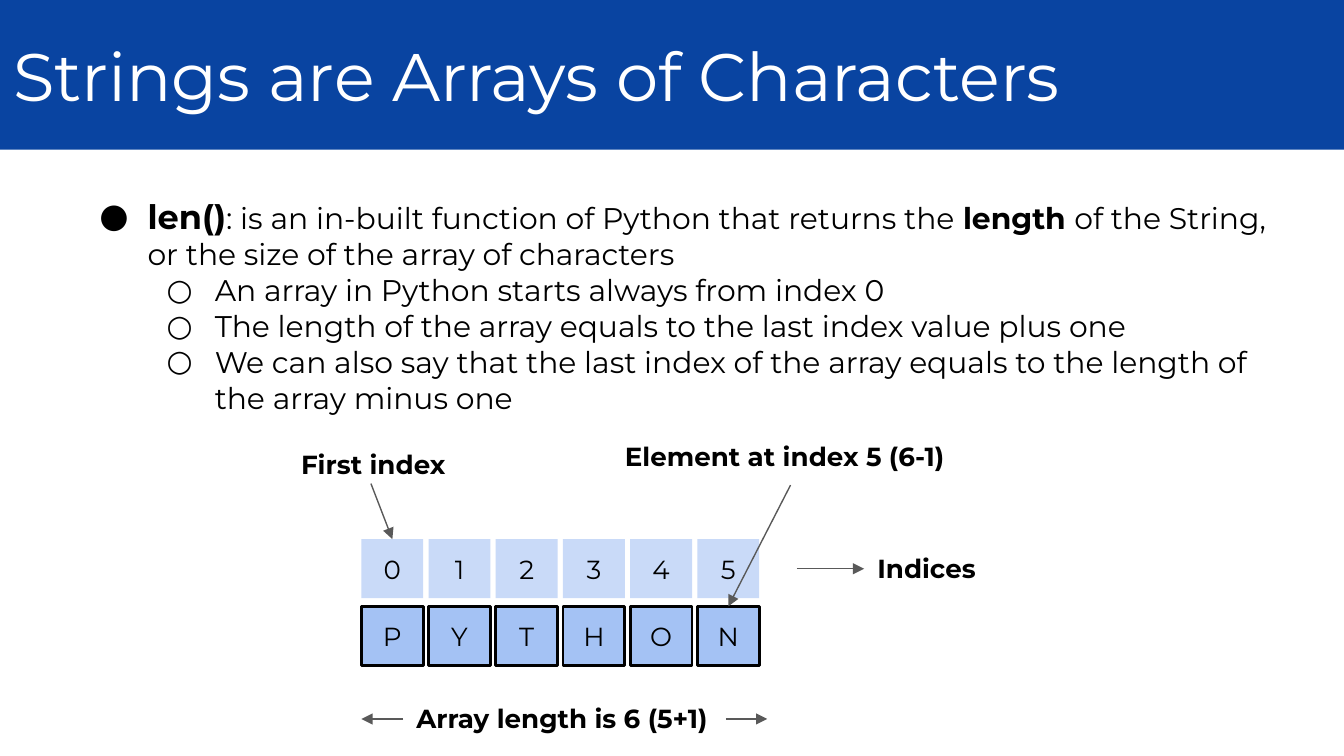
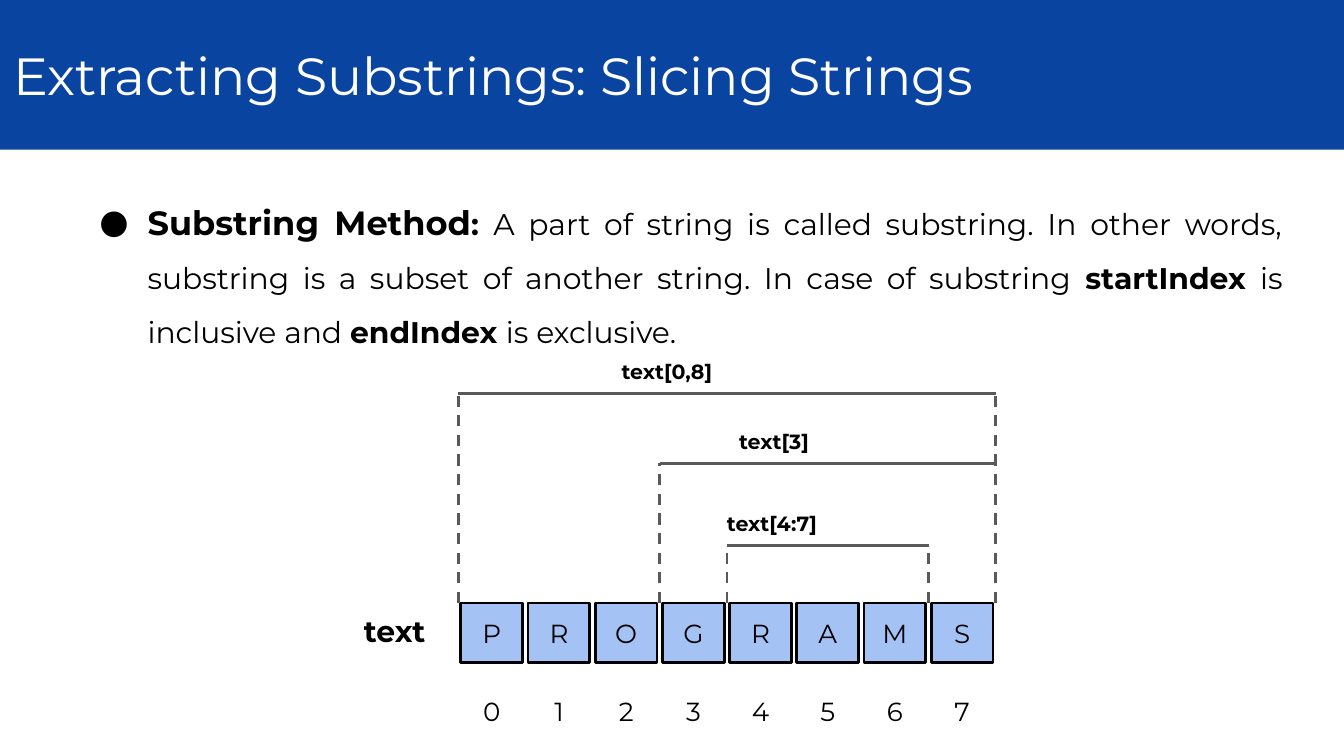
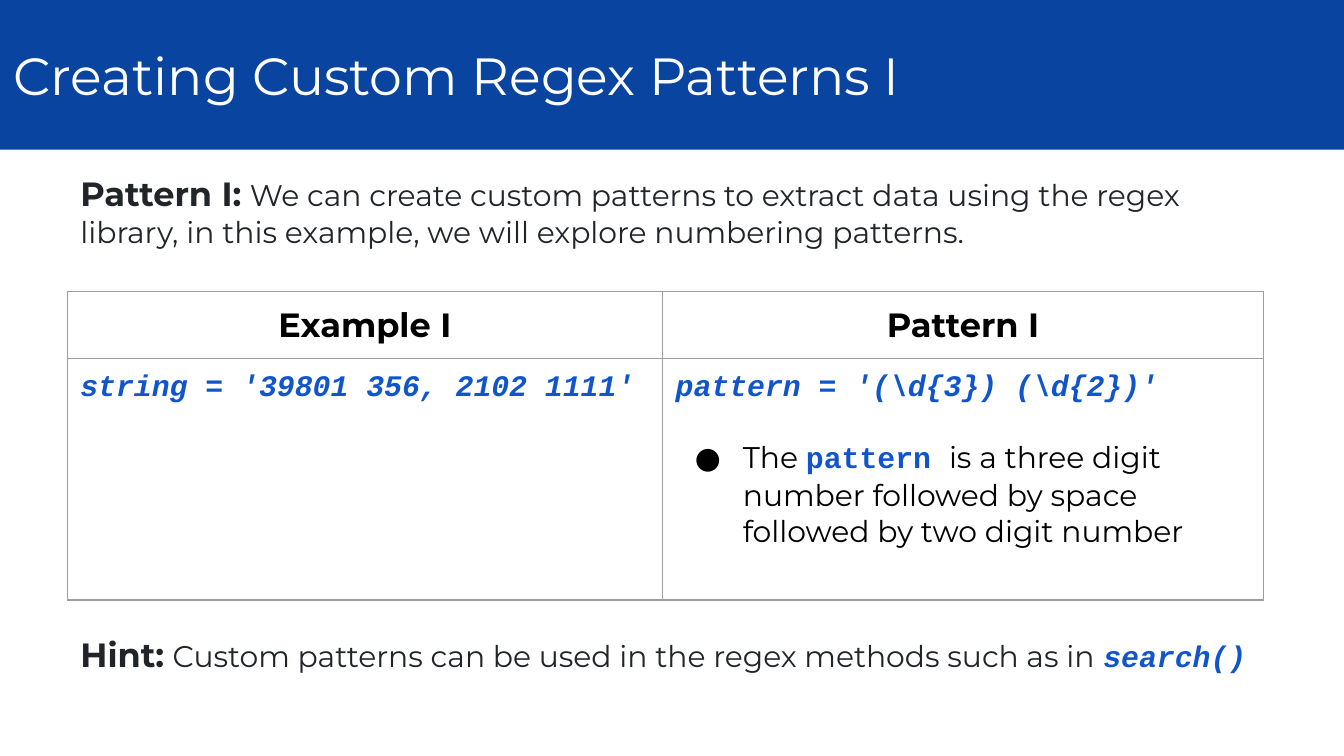
from collections import namedtuple

from lxml.etree import SubElement
from pptx import Presentation
from pptx.dml.color import RGBColor
from pptx.enum.dml import MSO_LINE
from pptx.enum.shapes import MSO_CONNECTOR, MSO_SHAPE
from pptx.enum.text import MSO_ANCHOR, PP_ALIGN
from pptx.oxml.ns import qn
from pptx.util import Cm, Pt

COLOURS = {
    "band": "0944A1", "white": "FFFFFF", "black": "000000", "ink": "212529",
    "letter": "A4C2F4", "index": "C9DAF8", "line": "595959",
    "code": "1155CC", "border": "9E9E9E",
}
FONT, CODE_FONT = "Montserrat", "Courier New"
WIDTH, HEIGHT = 25.4, 14.29
MARGIN = 1.27
INSET = 0.25
CELL_WIDTH, CELL_HEIGHT, PITCH = 1.17, 1.12, 1.27
TOP, LEFT, RIGHT = 0, 1, 3  # connection sites of a rectangle

BULLETS = ["●", "○"]
INDENT, HANGING = 1.27, -0.91

# Text styles
PLAIN = {"name": FONT, "size": Pt(16), "bold": False, "italic": False, "colour": "black"}
BOLD = PLAIN | {"bold": True}
LEAD = BOLD | {"size": Pt(18)}
INK, INK_LEAD = PLAIN | {"colour": "ink"}, LEAD | {"colour": "ink"}
CELL = PLAIN | {"size": Pt(14)}
LABEL = CELL | {"bold": True}
SMALL_LABEL = LABEL | {"size": Pt(11)}
CODE_WORD = BOLD | {"name": CODE_FONT, "colour": "code"}
CODE = CODE_WORD | {"italic": True}


class Box(namedtuple("Box", "left top width height")):
    """An area in centimetres."""

    def inside(self, x, y, width, height):
        return Box(self.left + x, self.top + y, width, height)

    def point(self, x, y):
        return self.left + x, self.top + y

    def lengths(self):
        return [Cm(value) for value in self]


def colour(name):
    return RGBColor.from_string(COLOURS[name])


# Text
def write(para, spans, **layout):
    for name, value in layout.items():
        setattr(para, name, value)
    for text, style in spans:
        span = para.add_run()
        span.text = text
        for name, value in style.items():
            if name == "colour":
                span.font.color.rgb = colour(value)
            else:
                setattr(span.font, name, value)


def add_bullet(para, level=0):
    para.level = level
    props = para._p.get_or_add_pPr()
    props.set("marL", str(Cm(INDENT * (level + 1))))
    props.set("indent", str(Cm(HANGING)))
    shade = SubElement(props, qn("a:buClr"))
    SubElement(shade, qn("a:srgbClr"), val=COLOURS["black"])
    SubElement(props, qn("a:buFont"), typeface=FONT)
    SubElement(props, qn("a:buChar"), char=BULLETS[level])


def set_frame(frame, anchor=MSO_ANCHOR.TOP):
    settings = {"word_wrap": True, "vertical_anchor": anchor}
    settings |= {f"margin_{side}": Cm(INSET) for side in ("left", "top", "right", "bottom")}
    for name, value in settings.items():
        setattr(frame, name, value)


def add_text(page, box, *spans):
    shape = page.shapes.add_textbox(*box.lengths())
    set_frame(shape.text_frame)
    write(shape.text_frame.paragraphs[0], spans)
    return shape


# Shapes and lines
def add_rectangle(page, box, fill, text, style, align, outline=None):
    shape = page.shapes.add_shape(MSO_SHAPE.RECTANGLE, *box.lengths())
    shape.shadow.inherit = False
    shape.fill.solid()
    shape.fill.fore_color.rgb = colour(fill)
    if outline:
        shape.line.color.rgb = colour(outline)
        shape.line.width = Pt(1.5)
    else:
        shape.line.fill.background()
    set_frame(shape.text_frame, MSO_ANCHOR.MIDDLE)
    write(shape.text_frame.paragraphs[0], [(text, style)], alignment=align)
    return shape


def add_line(page, start, end, width=1.5, dash=None, arrow=False):
    ends = [Cm(value) for value in (*start, *end)]
    line = page.shapes.add_connector(MSO_CONNECTOR.STRAIGHT, *ends)
    line.line.color.rgb = colour("line")
    line.line.width = Pt(width)
    if dash:
        line.line.dash_style = dash
    props = line._element.spPr
    if arrow:
        SubElement(props.find(qn("a:ln")), qn("a:tailEnd"), type="triangle")
    SubElement(props, qn("a:effectLst"))
    return line


def add_arrow(page, start, end):
    return add_line(page, start, end, width=0.75, arrow=True)


# Regions
def add_title(page, text, size):
    style = PLAIN | {"size": Pt(size), "colour": "white"}
    add_rectangle(page, Box(0, 0, WIDTH, 2.83), "band", text, style, PP_ALIGN.LEFT)


def add_cells(page, box, texts, fill, outline=None):
    return [
        add_rectangle(page, box.inside(i * PITCH, 0, CELL_WIDTH, CELL_HEIGHT),
                      fill, text, CELL, PP_ALIGN.CENTER, outline)
        for i, text in enumerate(texts)
    ]


def add_array_diagram(page, box):
    grid_x, grid_y = 1.39, 2.11
    letters = add_cells(page, box.inside(grid_x, grid_y + PITCH, 0, 0),
                        "PYTHON", "letter", "black")
    indices = add_cells(page, box.inside(grid_x, grid_y, 0, 0), "012345", "index")

    labels = {
        "Array length is 6 (5+1)": (2.18, 4.95, 6.1),
        "Indices": (10.89, grid_y, 2.46),
        "Element at index 5 (6-1)": (6.12, 0, 6.73),
        "First index": (0, 0.15, 4.24),
    }
    length, index_name, _, _ = [
        add_text(page, box.inside(*place, CELL_HEIGHT), (text, LABEL))
        for text, place in labels.items()
    ]

    # Arrows pointing at shapes
    for start, target, site in [((1.57, 1.06), indices[0], TOP),
                                ((9.5, 1.09), letters[-1], TOP),
                                ((9.62, 2.67), index_name, LEFT)]:
        point = box.point(*start)
        add_arrow(page, point, point).end_connect(target, site)

    # Arrows leading out of the length label
    for end_x, site in [(grid_x, LEFT), (9.06, RIGHT)]:
        point = box.point(end_x, 5.51)
        add_arrow(page, point, point).begin_connect(length, site)


def add_slice_diagram(page, box):
    grid_x, grid_y = 2.08, 4.85
    add_text(page, box.inside(0, grid_y - 0.07, 1.83, 1.19), ("text", BOLD))
    add_cells(page, box.inside(grid_x, grid_y, 0, 0), "PROGRAMS", "letter", "black")
    add_cells(page, box.inside(grid_x, grid_y + 1.48, 0, 0), "01234567", "white")

    # Brackets: label, its x, bracket y, first and last cell edge, dashed edges
    for text, label_x, y, first, last, dashed in [
        ("text[0,8]", 4.87, 0.89, 0, 8, (0, 8)),
        ("text[3]", 7.09, 2.21, 3, 8, (3,)),
        ("text[4:7]", 6.86, 3.76, 4, 7, (4, 7)),
    ]:
        edge = {i: grid_x - 0.05 + i * PITCH for i in (first, last)}
        add_text(page, box.inside(label_x, y - 0.89, 4.27, 0.99), (text, SMALL_LABEL))
        add_line(page, box.point(edge[first], y), box.point(edge[last], y))
        for i in dashed:
            add_line(page, box.point(edge[i], grid_y), box.point(edge[i], y),
                     dash=MSO_LINE.DASH)


def set_borders(cell):
    props = cell._tc.get_or_add_tcPr()
    for side in ("lnL", "lnR", "lnT", "lnB"):
        border = SubElement(props, qn(f"a:{side}"), w=str(Pt(0.75)))
        SubElement(SubElement(border, qn("a:solidFill")), qn("a:srgbClr"),
                   val=COLOURS["border"])


def add_pattern_table(page, box):
    table = page.shapes.add_table(2, 2, *box.lengths()).table
    table.first_row = table.horz_banding = False
    header_height = MARGIN
    for column, width in zip(table.columns, (11.25, box.width - 11.25)):
        column.width = Cm(width)
    for row, height in zip(table.rows, (header_height, box.height - header_height)):
        row.height = Cm(height)

    contents = [("Example I", "string = '39801 356, 2102 1111'"),
                ("Pattern I", r"pattern = '(\d{3}) (\d{2})'")]
    for i, (heading, code) in enumerate(contents):
        for j, (text, style, align) in enumerate([(heading, LEAD, PP_ALIGN.CENTER),
                                                  (code, CODE, PP_ALIGN.LEFT)]):
            cell = table.cell(j, i)
            set_borders(cell)
            cell.fill.background()
            for side in ("left", "top", "right", "bottom"):
                setattr(cell, f"margin_{side}", Cm(INSET))
            write(cell.text_frame.paragraphs[0], [(text, style)], alignment=align)

    # Explanation under the pattern
    para = table.cell(1, 1).text_frame.add_paragraph()
    add_bullet(para)
    write(para, [
        ("The ", PLAIN), ("pattern ", CODE_WORD),
        ("is a three digit number followed by space followed by two digit number", PLAIN),
    ], space_before=Pt(18))


# Slides
def build_array_page(page):
    add_title(page, "Strings are Arrays of Characters", 36)
    body = add_text(
        page, Box(MARGIN, 3.45, 23.22, 9.5), ("len()", LEAD),
        (": is an in-built function of Python that returns the ", PLAIN),
        ("length ", BOLD),
        ("of the String, or the size of the array of characters", PLAIN),
    ).text_frame
    add_bullet(body.paragraphs[0])
    for text in [
        "An array in Python starts always from index 0",
        "The length of the array equals to the last index value plus one",
        "We can also say that the last index of the array equals to the length of "
        "the array minus one",
    ]:
        para = body.add_paragraph()
        add_bullet(para, 1)
        write(para, [(text, PLAIN)])
    add_array_diagram(page, Box(5.44, 8.08, 13.35, 6.07))


def build_slice_page(page):
    add_title(page, "Extracting Substrings: Slicing Strings", 28)
    body = add_text(
        page, Box(MARGIN, 3.18, 23.22, 3.38),
        ("Substring Method", LEAD), (": ", BOLD),
        ("A part of string is called substring. In other words, substring is a subset "
         "of another string. In case of substring ", PLAIN),
        ("startIndex ", BOLD), ("is inclusive and ", PLAIN),
        ("endIndex ", BOLD), ("is exclusive.", PLAIN),
    )
    para = body.text_frame.paragraphs[0]
    add_bullet(para)
    write(para, [], alignment=PP_ALIGN.JUSTIFY, line_spacing=1.5)
    add_slice_diagram(page, Box(6.63, 6.55, 12.2, 7.45))


def build_regex_page(page):
    add_title(page, "Creating Custom Regex Patterns I", 28)
    add_text(
        page, Box(MARGIN, 3.02, 23.19, 1.96), ("Pattern I:", INK_LEAD), (" ", BOLD),
        ("We can create custom patterns to extract data using the regex library, "
         "in this example, we will explore numbering patterns.", INK),
    )
    add_pattern_table(page, Box(MARGIN, 5.51, 22.61, 5.83))
    add_text(
        page, Box(MARGIN, 11.73, 23.19, 1.27), ("Hint:", INK_LEAD), (" ", BOLD),
        ("Custom patterns can be used in the regex methods such as in ", INK),
        ("search()", CODE),
    )


def main():
    deck = Presentation()
    deck.slide_width, deck.slide_height = Cm(WIDTH), Cm(HEIGHT)
    for build in (build_array_page, build_slice_page, build_regex_page):
        build(deck.slides.add_slide(deck.slide_layouts[6]))
    deck.save("out.pptx")


if __name__ == "__main__":
    main()
